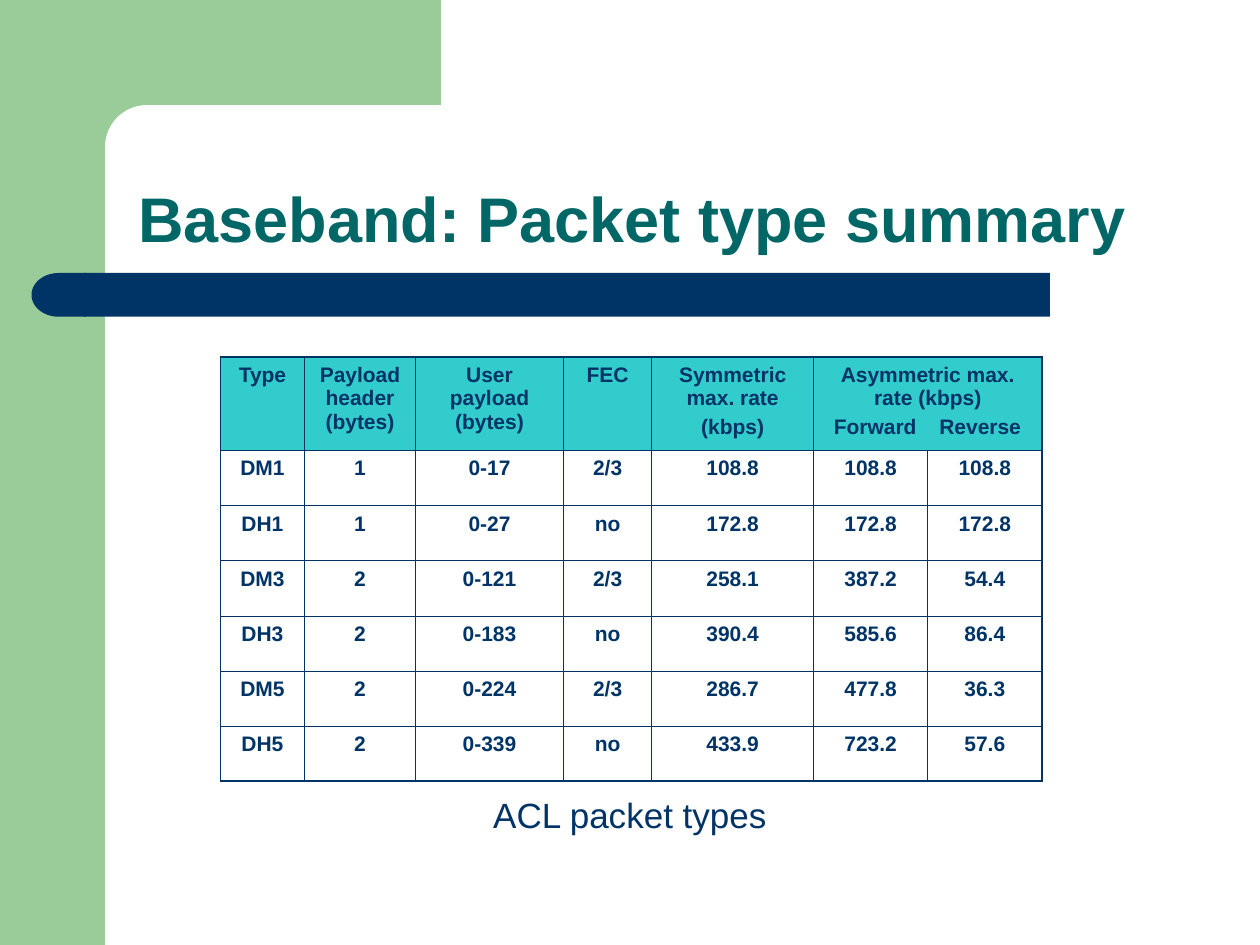
from lxml import etree
from pptx import Presentation
from pptx.dml.color import RGBColor
from pptx.enum.shapes import MSO_SHAPE
from pptx.enum.text import MSO_ANCHOR, PP_ALIGN
from pptx.oxml.ns import qn
from pptx.util import Pt

RECT = MSO_SHAPE.RECTANGLE
ROUNDED = MSO_SHAPE.ROUNDED_RECTANGLE
DELAY = MSO_SHAPE.FLOWCHART_DELAY
TOP, BOTTOM = MSO_ANCHOR.TOP, MSO_ANCHOR.BOTTOM
LEFT, CENTER = PP_ALIGN.LEFT, PP_ALIGN.CENTER

FONT = "Arial"
GREEN, WHITE, NAVY = "99CC99", "FFFFFF", "003366"
TEAL, AQUA = "006666", "33CCCC"
OUTER, INNER = 1.08, 0.45

HEADINGS = [
    ["Type"],
    ["Payload header (bytes)"],
    ["User payload (bytes)"],
    ["FEC"],
    ["Symmetric max. rate", "(kbps)"],
    ["Asymmetric max. rate (kbps)", "\tForward\tReverse"],
]
PACKETS = [
    ["DM1", "1", "0-17", "2/3", "108.8", "108.8", "108.8"],
    ["DH1", "1", "0-27", "no", "172.8", "172.8", "172.8"],
    ["DM3", "2", "0-121", "2/3", "258.1", "387.2", "54.4"],
    ["DH3", "2", "0-183", "no", "390.4", "585.6", "86.4"],
    ["DM5", "2", "0-224", "2/3", "286.7", "477.8", "36.3"],
    ["DH5", "2", "0-339", "no", "433.9", "723.2", "57.6"],
]
COLUMN_WIDTHS = [48, 63.5, 84.5, 50.5, 92.5, 65.25, 65.25]
HEADING_HEIGHT, PACKET_HEIGHT = 53.2, 31.5
RATE_CENTERS = [28, 88]


def color(hex_string):
    """Turn a hex string into a colour."""
    return RGBColor.from_string(hex_string)


def add_block(slide, kind, left, top, width, height, fill):
    """Add a filled shape without outline or shadow."""
    block = slide.shapes.add_shape(kind, Pt(left), Pt(top), Pt(width), Pt(height))
    block.shadow.inherit = False
    block.fill.solid()
    block.fill.fore_color.rgb = color(fill)
    block.line.fill.background()
    return block


def write(paragraph, text, size, ink, bold, align, before):
    """Put one formatted run in a paragraph."""
    paragraph.alignment = align
    paragraph.space_before = Pt(before)
    run = paragraph.add_run()
    run.text = text
    run.font.name = FONT
    run.font.size = Pt(size)
    run.font.bold = bold
    run.font.color.rgb = color(ink)


def add_label(slide, bounds, text, size, ink, bold, align, anchor, before):
    """Add a wrapped one-paragraph text box and return its paragraph."""
    frame = slide.shapes.add_textbox(*map(Pt, bounds)).text_frame
    frame.word_wrap = True
    frame.vertical_anchor = anchor
    write(frame.paragraphs[0], text, size, ink, bold, align, before)
    return frame.paragraphs[0]


def set_center_tabs(paragraph, positions):
    """Give a paragraph centred tab stops."""
    tabs = etree.SubElement(paragraph._p.get_or_add_pPr(), qn("a:tabLst"))
    for position in positions:
        etree.SubElement(tabs, qn("a:tab"), pos=str(Pt(position)), algn="ctr")


def set_borders(cell, widths):
    """Draw the left, right, top and bottom borders of a cell."""
    properties = cell._tc.get_or_add_tcPr()
    for index, (side, width) in enumerate(zip("LRTB", widths)):
        border = etree.Element(qn(f"a:ln{side}"), w=str(Pt(width)))
        fill = etree.SubElement(border, qn("a:solidFill"))
        etree.SubElement(fill, qn("a:srgbClr"), val=NAVY)
        properties.insert(index, border)


def fill_cell(cell, lines):
    """Write centred bold lines, with tabbed lines set under two centres."""
    frame = cell.text_frame
    for index, line in enumerate(lines):
        paragraph = frame.add_paragraph() if index else frame.paragraphs[0]
        tabbed = "\t" in line
        write(paragraph, line, 12, NAVY, True, LEFT if tabbed else CENTER, 3)
        if tabbed:
            set_center_tabs(paragraph, RATE_CENTERS)


def add_packet_table(slide, left, top):
    """Add the table of packet types."""
    rows = [HEADINGS] + [[[value] for value in packet] for packet in PACKETS]
    heights = [HEADING_HEIGHT] + [PACKET_HEIGHT] * len(PACKETS)
    last_row, last_column = len(rows) - 1, len(COLUMN_WIDTHS) - 1
    table = slide.shapes.add_table(
        len(rows), len(COLUMN_WIDTHS), Pt(left), Pt(top),
        Pt(sum(COLUMN_WIDTHS)), Pt(sum(heights))).table
    table.first_row = table.horz_banding = False
    for column, width in zip(table.columns, COLUMN_WIDTHS):
        column.width = Pt(width)
    for row, height in zip(table.rows, heights):
        row.height = Pt(height)
    table.cell(0, last_column - 1).merge(table.cell(0, last_column))
    for r, row in enumerate(rows):
        for c, lines in enumerate(row):
            fill_cell(table.cell(r, c), lines)
        for c in range(last_column + 1):
            cell = table.cell(r, c)
            if r == 0:
                cell.fill.solid()
                cell.fill.fore_color.rgb = color(AQUA)
            else:
                cell.fill.background()
            right_end = c == last_column or (r == 0 and c == last_column - 1)
            edges = [c == 0, right_end, r == 0, r == last_row]
            set_borders(cell, [OUTER if edge else INNER for edge in edges])


def add_backdrop(slide):
    """Add the green corner and the navy title bar."""
    add_block(slide, RECT, 0, 0, 60, 540, GREEN)
    add_block(slide, RECT, 54, 0, 198, 84, GREEN)
    add_block(slide, ROUNDED, 60, 60, 402, 48, WHITE).adjustments[0] = 0.5
    add_block(slide, RECT, 48, 156, 552, 25, NAVY)
    add_block(slide, DELAY, 18, 156, 31, 25, NAVY).rotation = 180


def main():
    """Build and save the slide."""
    deck = Presentation()
    deck.slide_width, deck.slide_height = Pt(720), Pt(540)
    slide = deck.slides.add_slide(deck.slide_layouts[6])
    add_backdrop(slide)
    title = add_label(slide, (72, 60, 630, 90), "Baseband: Packet type summary",
                      36, TEAL, True, LEFT, BOTTOM, 0)
    title.line_spacing = 0.9
    add_label(slide, (120, 450, 480, 60), "ACL packet types",
              20, NAVY, False, CENTER, TOP, 5)
    add_packet_table(slide, 126, 204)
    deck.save("out.pptx")


if __name__ == "__main__":
    main()
